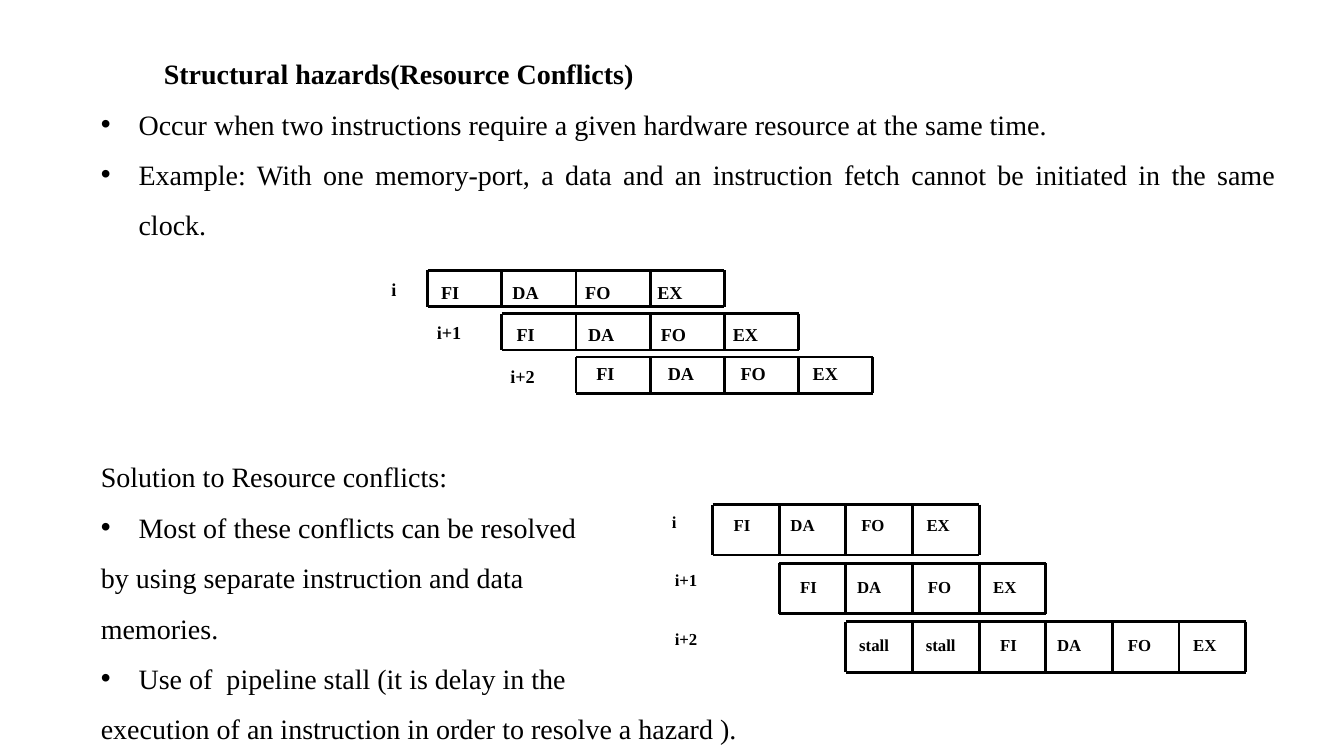
from lxml.etree import SubElement
from pptx import Presentation
from pptx.dml.color import RGBColor
from pptx.enum.shapes import MSO_CONNECTOR as Connector
from pptx.enum.text import MSO_ANCHOR as Anchor, MSO_AUTO_SIZE as AutoSize, PP_ALIGN as Align
from pptx.oxml.ns import qn
from pptx.util import Pt

COLOURS = {"ink": "000000", "paper": "FFFFFF"}
FONT = "Times New Roman"


def colour(name):
    return RGBColor.from_string(COLOURS[name])


def style(paragraph, size, bold=False):
    font = paragraph.font
    font.name, font.size, font.bold = FONT, Pt(size), bold
    font.color.rgb = colour("ink")


def set_frame(frame, inset_x=0, inset_y=0, anchor=Anchor.TOP, wrap=True):
    frame.margin_left = frame.margin_right = Pt(inset_x)
    frame.margin_top = frame.margin_bottom = Pt(inset_y)
    frame.vertical_anchor = anchor
    frame.word_wrap = wrap
    frame.auto_size = AutoSize.NONE


def add_heading(slide, box, text):
    heading = slide.shapes.title
    heading.left, heading.top, heading.width, heading.height = map(Pt, box)
    frame = heading.text_frame
    set_frame(frame, 5, 2)
    frame.text = text
    line = frame.paragraphs[0]
    line.alignment = Align.LEFT
    line.line_spacing = 1.5
    style(line, 20, bold=True)


def add_body(slide, box, lines):
    """Lines are (is_bullet, text) pairs."""
    frame = slide.shapes.add_textbox(*map(Pt, box)).text_frame
    set_frame(frame, 5, 2)
    for number, (is_bullet, text) in enumerate(lines):
        line = frame.add_paragraph() if number else frame.paragraphs[0]
        line.text = text
        line.alignment = Align.JUSTIFY
        line.line_spacing = 1.5
        if is_bullet:
            props = line._p.get_or_add_pPr()
            props.set("marL", str(Pt(27)))
            props.set("indent", str(-Pt(27)))
            SubElement(props, qn("a:buFont")).set("typeface", "Arial")
            SubElement(props, qn("a:buChar")).set("char", "•")
        style(line, 20)


def add_rule(slide, x1, y1, x2, y2):
    rule = slide.shapes.add_connector(Connector.STRAIGHT, *map(Pt, (x1, y1, x2, y2)))
    rule.line.color.rgb = colour("ink")
    rule.line.width = Pt(2)
    SubElement(rule._element.spPr, qn("a:effectLst"))


def add_word(slide, x, middle, text, size):
    height = 20
    word = slide.shapes.add_textbox(Pt(x), Pt(middle - height / 2), Pt(32), Pt(height))
    set_frame(word.text_frame, anchor=Anchor.MIDDLE, wrap=False)
    word.text_frame.text = text
    style(word.text_frame.paragraphs[0], size, bold=True)


def add_pipeline(slide, origin, cell, row_pitch, size, indents, label_shift, rows):
    """Rows are (label, label x, stages, stage shift x, stage shift y), each one cycle later."""
    left, top = origin
    width, height = cell
    for cycle, (label, label_x, stages, shift_x, shift_y) in enumerate(rows):
        x, y = left + cycle * width, top + cycle * row_pitch
        right, bottom, middle = x + len(stages) * width, y + height, y + height / 2
        # Row frame and dividers
        for edge in (y, bottom):
            add_rule(slide, x, edge, right, edge)
        for column in range(len(stages) + 1):
            add_rule(slide, x + column * width, y, x + column * width, bottom)
        # Instruction label and stage names
        add_word(slide, left + label_x, middle + label_shift, label, size)
        for column, stage in enumerate(stages):
            add_word(slide, x + column * width + indents[stage] + shift_x,
                     middle + shift_y, stage, size)


def build_slide(prs):
    slide = prs.slides.add_slide(prs.slide_layouts[5])
    slide.background.fill.solid()
    slide.background.fill.fore_color.rgb = colour("paper")
    stages = ["FI", "DA", "FO", "EX"]

    # Hazard description
    add_heading(slide, (112, 26.5, 700, 38), "Structural hazards(Resource Conflicts)")
    add_body(slide, (67, 62.5, 849.5, 112), [
        (True, "Occur when two instructions require a given hardware resource at the same time."),
        (True, "Example: With one memory-port, a data and an instruction fetch "
               "cannot be initiated in the same clock."),
    ])

    # Conflicting pipeline
    add_pipeline(slide, (305.5, 193), (53, 26), 31, 13,
                 {"FI": 11.5, "DA": 9.5, "FO": 8.5, "EX": 7}, 0.5, [
                     ("i", -26, stages, -2, 2.5),
                     ("i+1", 6.5, stages, -1, 2),
                     ("i+2", 59, stages, 3, -1.5),
                 ])

    # Solutions
    add_body(slide, (67, 314.5, 849.5, 184), [
        (False, "Solution to Resource conflicts:"),
        (True, "Most of these conflicts can be resolved"),
        (False, "by using separate instruction and data"),
        (False, "memories."),
        (True, "Use of  pipeline stall (it is delay in the"),
        (False, "execution of an instruction in order to resolve a hazard )."),
    ])

    # Stalled pipeline
    add_pipeline(slide, (509, 360.5), (47.6, 36), 41.8, 12,
                 {"FI": 15, "DA": 8, "FO": 11, "EX": 10, "stall": 9.5}, -6, [
                     ("i", -29, stages, 0, -3.5),
                     ("i+1", -27, stages, 0, -1),
                     ("i+2", -27, ["stall", "stall"] + stages, 0, -1.5),
                 ])


def main():
    prs = Presentation()
    prs.slide_width, prs.slide_height = Pt(960), Pt(540)
    build_slide(prs)
    prs.save("out.pptx")


if __name__ == "__main__":
    main()
